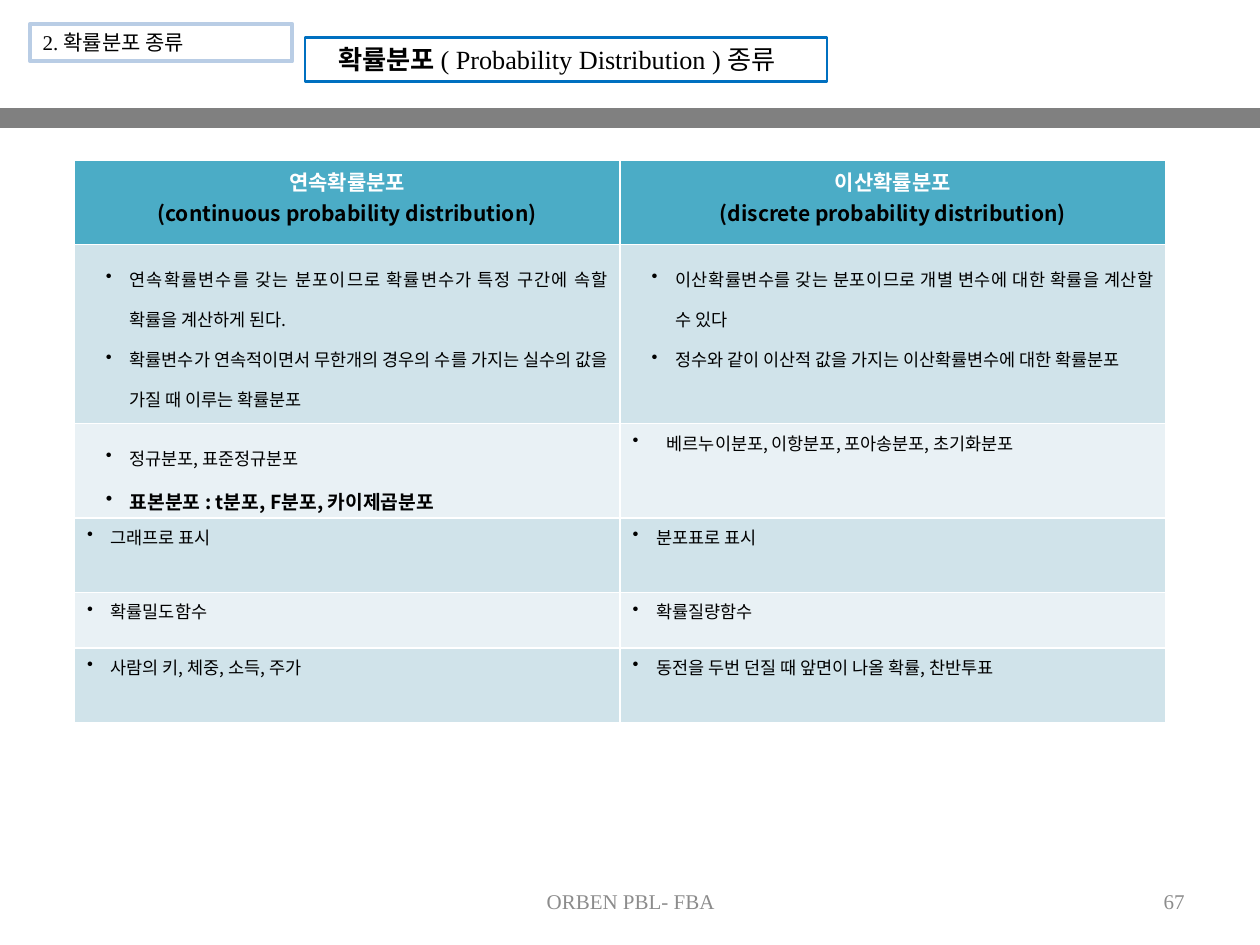
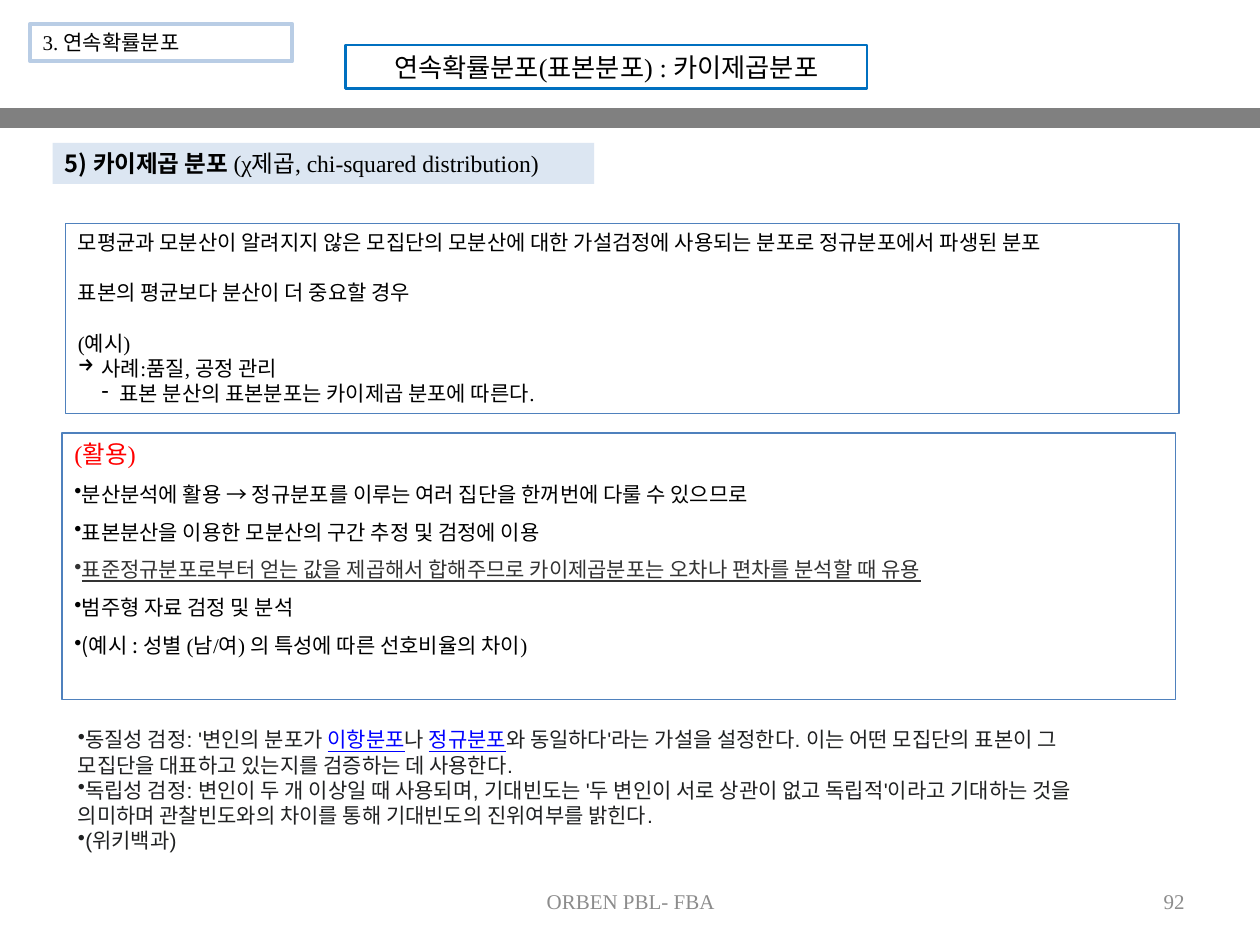
import pptx
import pptx.util
import pptx.dml.color
import pptx.enum.shapes
import pptx.enum.text
from lxml import etree
from pptx.util import Cm, Pt

ALIGN = pptx.enum.text.PP_ALIGN
ANCHOR = pptx.enum.text.MSO_ANCHOR
SERIF, SANS, ARIAL = "Times New Roman", "Noto Sans CJK KR", "Arial"
BLACK, WHITE, GREY, BAND = "000000", "FFFFFF", "8C8C8C", "808080"
TITLE_LINE, SECTION_LINE, PANEL_LINE = "0070C0", "B9CDE5", "4F81BD"
HEADING_FILL, HEADER_FILL, ROW_FILLS = "DCE6F2", "4BACC6", ("D0E3EA", "E9F1F5")
RED, LINK, INK, DARK = "FF0000", "0000FF", "202122", "333333"
FOOTER = "ORBEN PBL- FBA"

KINDS = {
    "section": dict(size=12, name=SERIF),
    "title": dict(size=15, name=SERIF, align=ALIGN.CENTER),
    "footer": dict(size=12, name=SERIF, color=GREY, align=ALIGN.CENTER),
    "number": dict(size=12, name=SERIF, color=GREY, align=ALIGN.RIGHT),
    "header": dict(size=12, name=SERIF, color=WHITE, bold=True, align=ALIGN.CENTER),
    "header_english": dict(size=12, name=SANS, bold=True, align=ALIGN.CENTER),
    "detail": dict(size=10, name=SANS, bullet="•", left=0.86, hang=0.48,
                   spacing=1.6, align=ALIGN.JUSTIFY),
    "detail_strong": dict(size=11, name=SANS, bold=True, bullet="•", left=0.86,
                          hang=0.48, spacing=1.6, align=ALIGN.JUSTIFY),
    "item": dict(size=10, name=SANS, bullet="•", left=0.48, hang=0.48),
    "wide_item": dict(size=10, name=SANS, bullet="•", left=0.69, hang=0.69),
    "heading": dict(size=13.5, name=SERIF),
    "lead": dict(size=12, name=SANS),
    "spaced": dict(size=12, name=SERIF, before=14.4),
    "plain": dict(size=12, name=SERIF),
    "arrow": dict(size=12, name=SERIF, bullet="→", left=0.48, hang=0.48),
    "dash": dict(size=12, name=SERIF, bullet="-", left=0.84, hang=0.36),
    "use_title": dict(size=14, name=SERIF, color=RED),
    "use": dict(size=12, name=SANS, bullet="•", spacing=1.5),
    "use_marked": dict(size=12, name=ARIAL, color=DARK, underline=True,
                       bullet="•", spacing=1.5),
    "test": dict(size=12, name=ARIAL, color=INK, bullet="•"),
}
SERIF_SPAN = dict(name=SERIF)
LINK_SPAN = dict(color=LINK, underline=True)

PAGES = [
    dict(section="2. 확률분포 종류", number="67", title_at=(6.15, 0.76), title_shift=0.36,
         title=[("확률분포 ", dict(bold=True)), "( Probability Distribution ) 종류"]),
    dict(section="3. 연속확률분포", number="92", title_at=(6.96, 0.91), title_shift=0,
         title=["연속확률분포(표본분포) : 카이제곱분포"]),
]

ROW_HEIGHTS = [1.7, 3.61, 1.9, 1.5, 1.12, 1.5]
TABLE_ROWS = [
    ([("header", "연속확률분포"),
      ("header_english", "(continuous probability distribution)")],
     [("header", "이산확률분포"),
      ("header_english", "(discrete probability distribution)")]),
    ([("detail", "연속확률변수를 갖는 분포이므로 확률변수가 특정 구간에 속할 확률을 계산하게 된다."),
      ("detail", "확률변수가 연속적이면서 무한개의 경우의 수를 가지는 실수의 값을 가질 때 이루는 확률분포")],
     [("detail", "이산확률변수를 갖는 분포이므로 개별 변수에 대한 확률을 계산할 수 있다"),
      ("detail", "정수와 같이 이산적 값을 가지는 이산확률변수에 대한 확률분포")]),
    ([("detail", "정규분포, 표준정규분포"),
      ("detail_strong", "표본분포 : t분포, F분포, 카이제곱분포")],
     [("wide_item", "베르누이분포, 이항분포, 포아송분포, 초기화분포")]),
    ([("item", "그래프로 표시")], [("item", "분포표로 표시")]),
    ([("item", "확률밀도함수")], [("item", "확률질량함수")]),
    ([("item", "사람의 키, 체중, 소득, 주가")],
     [("item", "동전을 두번 던질 때 앞면이 나올 확률, 찬반투표")]),
]

HEADING = [("heading", ("5) 카이제곱 분포 ", dict(name=SANS, bold=True)),
            "(χ제곱, chi-squared distribution)")]
DEFINITION = [
    ("lead", "모평균과 모분산이 알려지지 않은 모집단의 모분산에 대한 가설검정에 사용되는 분포로 정규분포에서 파생된 분포"),
    ("spaced", "표본의 평균보다 분산이 더 중요할 경우"),
    ("spaced", "(예시)"),
    ("arrow", "사례:품질, 공정 관리"),
    ("dash", "표본 분산의 표본분포는 카이제곱 분포에 따른다."),
]
USES = [
    ("use_title", "(활용)"),
    ("use", "분산분석에 활용 → 정규분포를 이루는 여러 집단을 한꺼번에 다룰 수 있으므로"),
    ("use", "표본분산을 이용한 ", ("모분산의 구간 추정 및 검정에 이용", SERIF_SPAN)),
    ("use_marked", "표준정규분포로부터 얻는 값을 제곱해서 합해주므로 카이제곱분포는 오차나 편차를 분석할 때 유용"),
    ("use", "범주형 자료 검정 및 분석"),
    ("use", "(예시 :", (" 성별 (남/여) 의 특성에 따른 선호비율의 차이)", SERIF_SPAN)),
]
TESTS = [
    ("test", "동질성 검정: '변인의 분포가 ", ("이항분포", LINK_SPAN), "나 ",
     ("정규분포", LINK_SPAN),
     "와 동일하다'라는 가설을 설정한다. 이는 어떤 모집단의 표본이 그 모집단을 대표하고 있는지를 검증하는 데 사용한다."),
    ("test", "독립성 검정: 변인이 두 개 이상일 때 사용되며, 기대빈도는 '두 변인이 서로 상관이 없고 독립적'이라고 "
             "기대하는 것을 의미하며 관찰빈도와의 차이를 통해 기대빈도의 진위여부를 밝힌다."),
    ("test", "(위키백과)"),
]


def rgb(code):
    return pptx.dml.color.RGBColor.from_string(code)


def paint(target, code):
    target.fill.solid()
    target.fill.fore_color.rgb = rgb(code)


def outline(box, code, width):
    box.line.color.rgb = rgb(code)
    box.line.width = Pt(width)


def set_font(font, name=None, size=None, color=None, bold=None, underline=None):
    if name:
        font.name = name
    if size:
        font.size = Pt(size)
    if color:
        font.color.rgb = rgb(color)
    if bold is not None:
        font.bold = bold
    if underline is not None:
        font.underline = underline


def add_bullet(para, mark, left, hang):
    properties = para._p.get_or_add_pPr()
    properties.set("marL", str(Cm(left)))
    properties.set("indent", str(-Cm(hang)))
    bullet = etree.SubElement(properties, pptx.oxml.ns.qn("a:buChar"))
    bullet.set("char", mark)


def write(frame, paragraphs):
    for index, (kind, *spans) in enumerate(paragraphs):
        para = frame.add_paragraph() if index else frame.paragraphs[0]
        look = dict(color=BLACK, bold=False) | KINDS[kind]
        left, hang = look.pop("left", 0), look.pop("hang", 0)
        bullet = look.pop("bullet", None)
        if bullet:
            add_bullet(para, bullet, left, hang)
        para.alignment = look.pop("align", ALIGN.LEFT)
        para.line_spacing = look.pop("spacing", None)
        before = look.pop("before", None)
        if before:
            para.space_before = Pt(before)
        set_font(para.font, **look)
        for piece in spans:
            text, changes = (piece, {}) if isinstance(piece, str) else piece
            span = para.add_run()
            span.text = text
            set_font(span.font, **changes)


def add_box(page, place, paragraphs, line=None, width=0.75, fill=None,
            anchor=ANCHOR.TOP, wrap=True):
    box = page.shapes.add_textbox(*map(Cm, place))
    box.text_frame.word_wrap = wrap
    box.text_frame.vertical_anchor = anchor
    if line:
        outline(box, line, width)
    if fill:
        paint(box, fill)
    write(box.text_frame, paragraphs)


def add_page(deck, section, number, title, title_at, title_shift):
    page = deck.slides.add_slide(deck.slide_layouts[5])
    heading = page.shapes.title
    heading.left, heading.top = map(Cm, title_at)
    heading.width, heading.height = Cm(10.52), Cm(0.88)
    outline(heading, TITLE_LINE, 1.5)
    frame = heading.text_frame
    frame.auto_size = pptx.enum.text.MSO_AUTO_SIZE.NONE
    frame.vertical_anchor = ANCHOR.MIDDLE
    frame.margin_left = Cm(0.18)
    frame.margin_right = Cm(0.18 + title_shift)
    frame.margin_top = frame.margin_bottom = Cm(0.1)
    write(frame, [("title", *title)])

    band = page.shapes.add_shape(pptx.enum.shapes.MSO_SHAPE.RECTANGLE,
                                 0, Cm(2.18), deck.slide_width, Cm(0.4))
    band.shadow.inherit = False
    paint(band, BAND)
    band.line.fill.background()
    add_box(page, (0.61, 0.48, 5.28, 0.76), [("section", section)], SECTION_LINE, 2.25)
    add_box(page, (8.69, 17.65, 8.05, 1.02), [("footer", FOOTER)], anchor=ANCHOR.MIDDLE)
    add_box(page, (18.21, 17.65, 5.92, 1.02), [("number", number)], anchor=ANCHOR.MIDDLE)
    return page


def add_comparison(page):
    table = page.shapes.add_table(len(TABLE_ROWS), 2, Cm(1.5), Cm(3.23),
                                  Cm(22), Cm(sum(ROW_HEIGHTS))).table
    for row, (height, contents) in enumerate(zip(ROW_HEIGHTS, TABLE_ROWS)):
        table.rows[row].height = Cm(height)
        for column, paragraphs in enumerate(contents):
            cell = table.cell(row, column)
            paint(cell, ROW_FILLS[(row - 1) % 2] if row else HEADER_FILL)
            write(cell.text_frame, paragraphs)


def main():
    deck = pptx.Presentation()
    deck.slide_width, deck.slide_height = Cm(25.4), Cm(19.05)
    kinds_page, chi_page = [add_page(deck, **content) for content in PAGES]
    add_comparison(kinds_page)
    add_box(chi_page, (1.06, 2.88, 10.92, 0.83), HEADING, fill=HEADING_FILL, wrap=False)
    add_box(chi_page, (1.32, 4.5, 22.45, 3.84), DEFINITION, PANEL_LINE)
    add_box(chi_page, (1.25, 8.73, 22.45, 5.38), USES, PANEL_LINE)
    add_box(chi_page, (1.32, 14.53, 21.39, 2.82), TESTS)
    deck.save("out.pptx")


if __name__ == "__main__":
    main()
